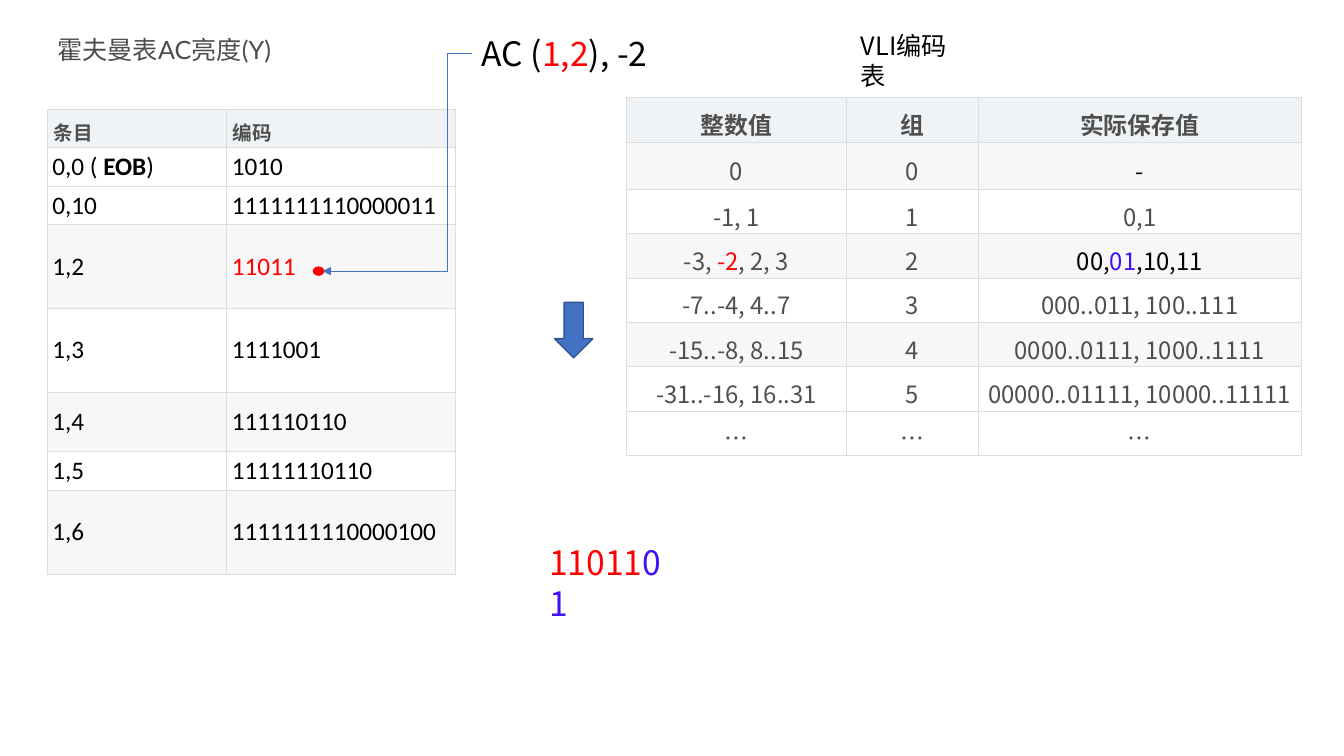
from lxml import etree
from pptx import Presentation
from pptx.dml.color import RGBColor
from pptx.enum.shapes import MSO_CONNECTOR, MSO_SHAPE
from pptx.enum.text import MSO_ANCHOR, MSO_AUTO_SIZE, PP_ALIGN
from pptx.oxml.ns import qn
from pptx.util import Inches, Pt


class Theme:
    BLACK, RED, VIOLET = "000000", "FF0000", "4210F8"
    CAPTION, GREY = "4D4D4D", "4F4F4F"
    BLUE, DARK_BLUE = "4472C4", "325491"
    HEADER, SHADED, WHITE, BORDER = "EFF3F5", "F7F7F7", "FFFFFF", "DDDDDD"
    CJK, LATIN, CAPTION_FONT = "Noto Sans CJK SC", "Calibri", "Lato"
    BIG, BODY, VLI, HEAD = 24, 18, 17, 14


def add_runs(paragraph, runs, size, font):
    """Add (text, colour, bold) runs, with the CJK font for East Asian text."""
    for text, color, bold in runs:
        run = paragraph.add_run()
        run.text = text
        run.font.size, run.font.name, run.font.bold = Pt(size), font, bold
        run.font.color.rgb = RGBColor.from_string(color)
        east_asian = etree.SubElement(run.font._element, qn("a:ea"))
        east_asian.set("typeface", Theme.CJK)


def style_cell(cell, fill, margins):
    """Draw the borders before the fill, as the cell properties require."""
    properties = cell._tc.get_or_add_tcPr()
    for side in ("lnL", "lnR", "lnT", "lnB"):
        border = etree.SubElement(properties, qn(f"a:{side}"), w=str(Pt(0.75)))
        solid = etree.SubElement(border, qn("a:solidFill"))
        etree.SubElement(solid, qn("a:srgbClr"), val=Theme.BORDER)
    cell.fill.solid()
    cell.fill.fore_color.rgb = RGBColor.from_string(fill)
    cell.vertical_anchor = MSO_ANCHOR.MIDDLE
    cell.margin_left, cell.margin_top, cell.margin_right, cell.margin_bottom = map(Inches, margins)


deck = Presentation()
deck.slide_width, deck.slide_height = Inches(13.33), Inches(7.5)
slide = deck.slides.add_slide(deck.slide_layouts[5])
shapes = slide.shapes

# Title, table captions and resulting bit string
texts = [
    (4.68, 0.28, 1.9, 0.5, Theme.BIG, Theme.CJK,
     [("AC (", Theme.BLACK), ("1,2", Theme.RED), ("), -2", Theme.BLACK)]),
    (0.47, 0.29, 2.35, 0.4, Theme.BODY, Theme.CAPTION_FONT, [("霍夫曼表AC亮度(Y)", Theme.CAPTION)]),
    (8.44, 0.25, 1.29, 0.4, Theme.BODY, Theme.CJK, [("VLI编码表", Theme.BLACK)]),
    (5.35, 5.33, 1.44, 0.5, Theme.BIG, Theme.CJK, [("11011", Theme.RED), ("01", Theme.VIOLET)]),
]
for index, (left, top, width, height, size, font, runs) in enumerate(texts):
    box = [Inches(length) for length in (left, top, width, height)]
    holder = shapes.title if index == 0 else shapes.add_textbox(*box)
    holder.left, holder.top, holder.width, holder.height = box
    frame = holder.text_frame
    frame.word_wrap, frame.auto_size = True, MSO_AUTO_SIZE.NONE
    frame.vertical_anchor = MSO_ANCHOR.TOP
    frame.paragraphs[0].alignment = PP_ALIGN.LEFT
    add_runs(frame.paragraphs[0], [(*run, False) for run in runs], size, font)

# Huffman table: a cell is plain text or a list of (text, colour, bold) runs
huffman_rows = [
    ("条目", "编码"),
    ([("0,0 ( ", Theme.BLACK, False), ("EOB", Theme.BLACK, True), (")", Theme.BLACK, False)], "1010"),
    ("0,10", "1111111110000011"),
    ("1,2", [("11011", Theme.RED, False)]),
    ("1,3", "1111001"),
    ("1,4", "111110110"),
    ("1,5", "11111110110"),
    ("1,6", "1111111110000100"),
]
vli_rows = [
    ("整数值", "组", "实际保存值"),
    ("0", "0", [("-", Theme.BLACK, False)]),
    ("-1, 1", "1", "0,1"),
    ([("-3, ", Theme.GREY, False), ("-2", Theme.RED, False), (", 2, 3", Theme.GREY, False)], "2",
     [("00,", Theme.BLACK, False), ("01", Theme.VIOLET, False), (",10,11", Theme.BLACK, False)]),
    ("-7..-4, 4..7", "3", "000..011, 100..111"),
    ("-15..-8, 8..15", "4", "0000..0111, 1000..1111"),
    ("-31..-16, 16..31", "5", "00000..01111, 10000..11111"),
    ("…", "…", "…"),
]
tables = [
    dict(at=(0.47, 1.09), rows=huffman_rows, widths=[1.78, 2.27],
         heights=[0.37, 0.38, 0.38, 0.83, 0.83, 0.59, 0.38, 0.83], shaded=(3, 5, 7),
         head_margins=(0.06, 0.06, 0.06, 0), margins=(0.05, 0.04, 0.1, 0.04),
         head_size=Theme.HEAD, size=Theme.BODY, font=Theme.LATIN,
         color=Theme.BLACK, align=PP_ALIGN.LEFT),
    dict(at=(6.21, 0.97), rows=vli_rows, widths=[2.19, 1.3, 3.21],
         heights=[0.44, 0.47] + [0.44] * 6, shaded=(1, 3, 5),
         head_margins=(0.08, 0.08, 0.08, 0), margins=(0.08, 0.08, 0.08, 0),
         head_size=Theme.VLI, size=Theme.VLI, font=Theme.CJK,
         color=Theme.GREY, align=PP_ALIGN.CENTER),
]
for plan in tables:
    size = (sum(plan["widths"]), sum(plan["heights"]))
    table = shapes.add_table(len(plan["rows"]), len(plan["widths"]),
                             *map(Inches, plan["at"] + size)).table
    for column, width in zip(table.columns, plan["widths"]):
        column.width = Inches(width)
    for r, (contents, height) in enumerate(zip(plan["rows"], plan["heights"])):
        table.rows[r].height = Inches(height)
        head = r == 0
        fill = Theme.HEADER if head else Theme.SHADED if r in plan["shaded"] else Theme.WHITE
        for c, content in enumerate(contents):
            cell = table.cell(r, c)
            style_cell(cell, fill, plan["head_margins" if head else "margins"])
            if isinstance(content, str):
                content = [(content, Theme.GREY if head else plan["color"], head)]
            paragraph = cell.text_frame.paragraphs[0]
            paragraph.alignment = plan["align"]
            add_runs(paragraph, content, plan["head_size" if head else "size"],
                     Theme.CJK if head else plan["font"])

# Arrow from the AC symbol to its Huffman code
lookup = shapes.add_connector(MSO_CONNECTOR.ELBOW, *map(Inches, (4.68, 0.53, 3.2, 2.69)))
lookup.line.color.rgb = RGBColor.from_string(Theme.BLUE)
lookup.line.width = Pt(0.5)
lookup_properties = lookup._element.spPr
bend = lookup_properties.find(qn("a:prstGeom")).find(qn("a:avLst"))
etree.SubElement(bend, qn("a:gd"), name="adj1", fmla="val 16100")
etree.SubElement(lookup.line._get_or_add_ln(), qn("a:tailEnd"), type="triangle")
etree.SubElement(lookup_properties, qn("a:effectLst"))

# Dot beside the code, and the arrow down to the result
for kind, box, fill, outline in [
    (MSO_SHAPE.OVAL, (3.11, 2.65, 0.1, 0.08), Theme.RED, Theme.RED),
    (MSO_SHAPE.DOWN_ARROW, (5.5, 3, 0.38, 0.55), Theme.BLUE, Theme.DARK_BLUE),
]:
    marker = shapes.add_shape(kind, *map(Inches, box))
    marker.shadow.inherit = False
    marker.fill.solid()
    marker.fill.fore_color.rgb = RGBColor.from_string(fill)
    marker.line.color.rgb = RGBColor.from_string(outline)
    marker.line.width = Pt(1)

deck.save("out.pptx")
